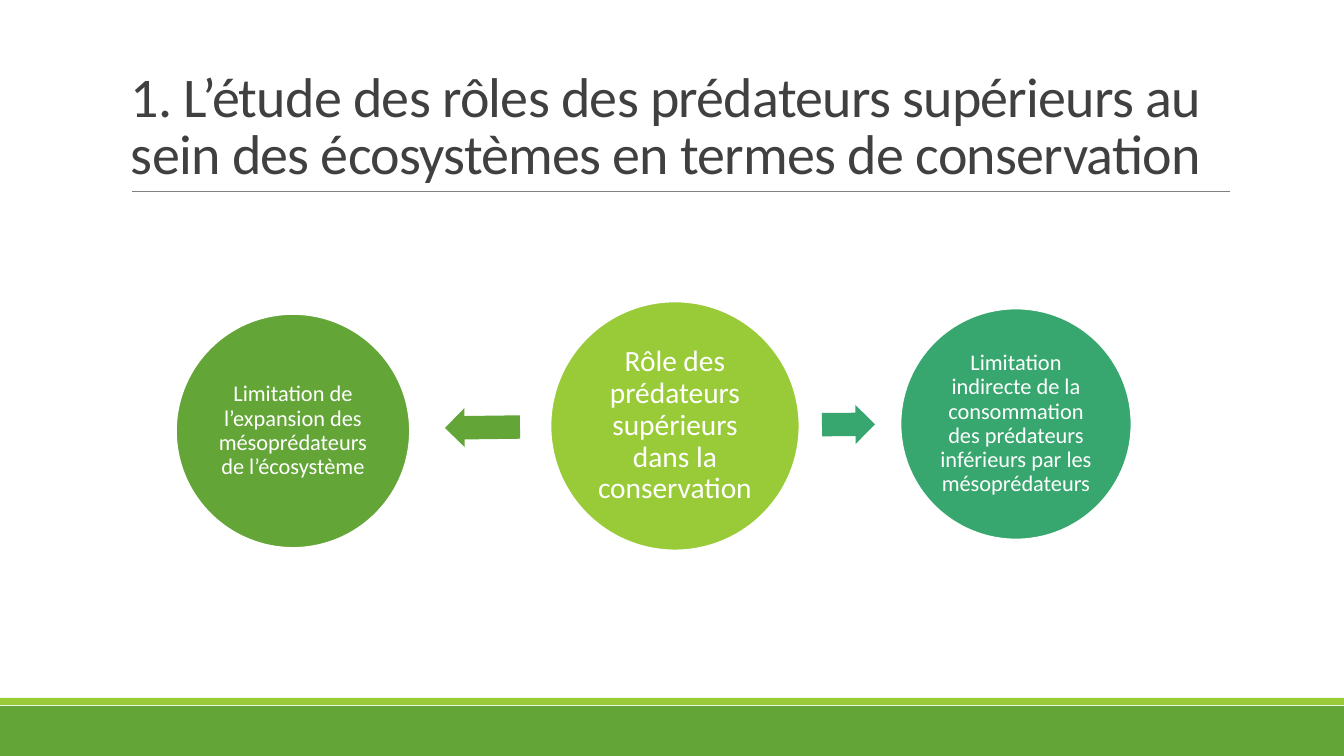
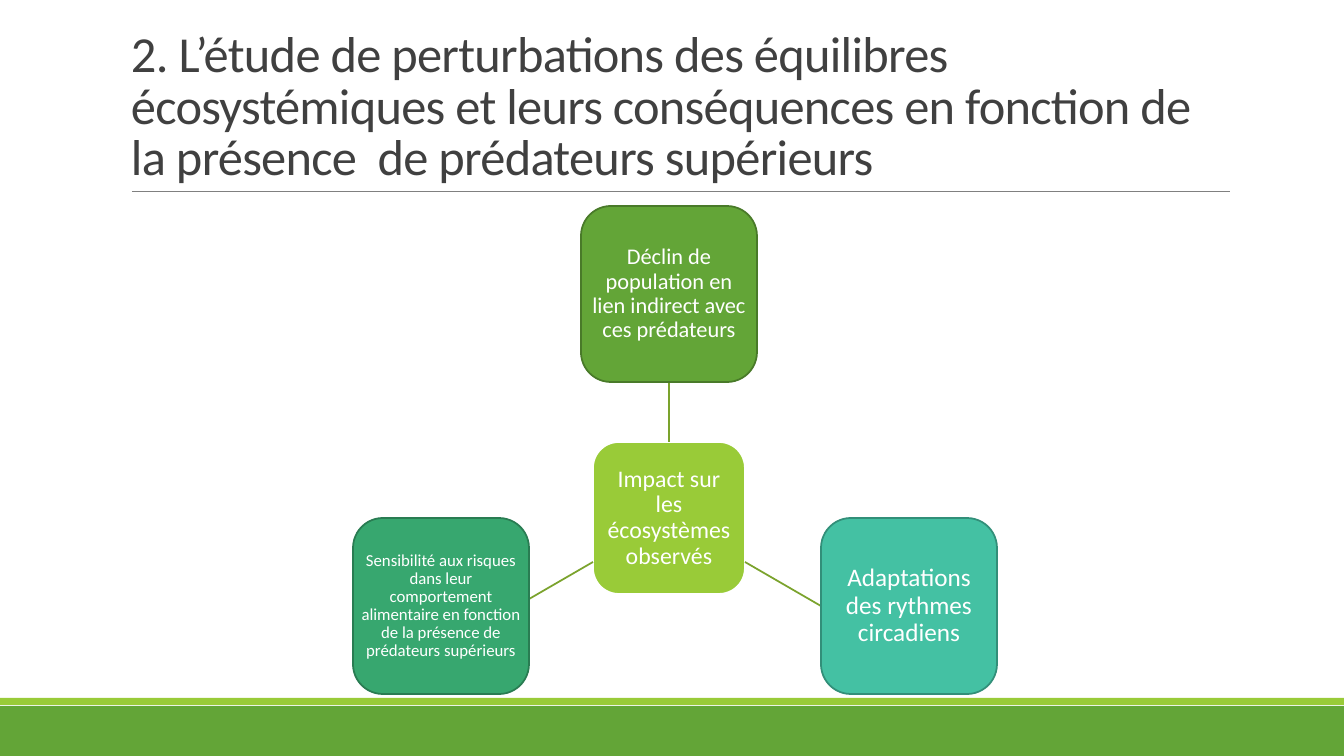
import pptx
import pptx.util
import pptx.dml.color
import pptx.enum.shapes
import pptx.enum.text
import pptx.oxml

RGB = pptx.dml.color.RGBColor
SHAPE = pptx.enum.shapes.MSO_SHAPE
ALIGN = pptx.enum.text.PP_ALIGN
ANCHOR = pptx.enum.text.MSO_ANCHOR

# Theme
PX = 914400 / 100.8
W, H = 1344, 756
FONT = "Calibri"
WHITE = RGB(0xFF, 0xFF, 0xFF)
INK = RGB(0x40, 0x40, 0x40)
RULE = RGB(0x80, 0x80, 0x80)
GREEN = RGB(0x63, 0xA5, 0x37)
LIME = RGB(0x99, 0xCB, 0x38)
JADE = RGB(0x37, 0xA7, 0x6F)
TEAL = RGB(0x44, 0xC1, 0xA3)
GREEN_EDGE = RGB(0x49, 0x7A, 0x29)
JADE_EDGE = RGB(0x29, 0x7C, 0x52)
TEAL_EDGE = RGB(0x32, 0x8F, 0x79)
LINK = RGB(0x7B, 0xA3, 0x2D)
EDGE_PT = 1.25
CORNER = 0.17

# Content: titles as (text, size)
ROLES_TITLE = ("1. L’étude des rôles des prédateurs supérieurs au sein des "
               "écosystèmes en termes de conservation", 40)
IMPACT_TITLE = ("2. L’étude de perturbations des équilibres écosystémiques et leurs "
                "conséquences en fonction de la présence  de prédateurs supérieurs", 36)

# Circles: text, size, centre, diameter, fill, inset
CIRCLES = [
    ("Rôle des prédateurs supérieurs dans la conservation", 21, (675, 426), 249, LIME, 3),
    ("Limitation de l’expansion des mésoprédateurs de l’écosystème",
     16, (293, 431), 234, GREEN, 2),
    ("Limitation indirecte de la consommation des prédateurs inférieurs "
     "par les mésoprédateurs", 16, (1016, 424), 231, JADE, 2),
]
# Arrows: box, rotation, fill
ARROWS = [
    ((445, 408, 75, 39), 179.3, GREEN),
    ((822, 405, 53, 39), 359.7, JADE),
]

# Hub and its satellites: text, size, centre, side, fill, edge, inset
HUB_X = 669
REACH = 234
HUB = ("Impact sur les écosystèmes observés", 17, (HUB_X, 518), 152, LIME, WHITE, 12)
SATELLITES = [
    ("Déclin de population en lien indirect avec ces prédateurs",
     16, (HUB_X, 294), 176, GREEN, GREEN_EDGE, 8),
    ("Adaptations des rythmes circadiens",
     18, (HUB_X + REACH + 6, 606), 176, TEAL, TEAL_EDGE, 8),
    ("Sensibilité aux risques dans leur comportement alimentaire en fonction "
     "de la présence de prédateurs supérieurs",
     12, (HUB_X - REACH + 6, 606), 176, JADE, JADE_EDGE, 7),
]
LINKS = [
    (HUB_X, 442, HUB_X, 335),
    (HUB_X + 76, 562, HUB_X + 152, 606),
    (HUB_X - 76, 562, HUB_X - 152, 606),
]


def px(*lengths):
    return [pptx.util.Emu(round(n * PX)) for n in lengths]


def write(sp, text, size, color=WHITE, align=ALIGN.CENTER, anchor=ANCHOR.MIDDLE,
          insets=(0, 0), leading=0.9, spacing=None):
    tf = sp.text_frame
    tf.word_wrap = True
    tf.vertical_anchor = anchor
    tf.margin_left = tf.margin_right = px(insets[0])[0]
    tf.margin_top = tf.margin_bottom = px(insets[1])[0]
    p = tf.paragraphs[0]
    p.alignment = align
    p.line_spacing = leading
    r = p.add_run()
    r.text = text
    r.font.name = FONT
    r.font.size = pptx.util.Pt(size)
    r.font.color.rgb = color
    if spacing is not None:
        r.font._element.set("spc", str(round(spacing * 100)))


def add_block(s, kind, box, fill, edge=None):
    sp = s.shapes.add_shape(kind, *px(*box))
    sp.shadow.inherit = False
    sp.fill.solid()
    sp.fill.fore_color.rgb = fill
    if edge is None:
        sp.line.fill.background()
    else:
        sp.line.color.rgb = edge
        sp.line.width = pptx.util.Pt(EDGE_PT)
    return sp


def add_line(s, ends, color, width):
    line = s.shapes.add_connector(pptx.enum.shapes.MSO_CONNECTOR.STRAIGHT, *px(*ends))
    line.line.color.rgb = color
    line.line.width = pptx.util.Pt(width)
    line._element.spPr.append(pptx.oxml.parse_xml(
        '<a:effectLst xmlns:a="http://schemas.openxmlformats.org/drawingml/2006/main"/>'))


def centred(centre, side):
    return centre[0] - side / 2, centre[1] - side / 2, side, side


def add_circle(s, text, size, centre, side, fill, inset):
    sp = add_block(s, SHAPE.OVAL, centred(centre, side), fill, WHITE)
    write(sp, text, size, insets=(inset, inset))


def add_tile(s, text, size, centre, side, fill, edge, inset):
    sp = add_block(s, SHAPE.ROUNDED_RECTANGLE, centred(centre, side), fill, edge)
    sp.adjustments[0] = CORNER
    # The preset already insets its text by 0.29 of the corner radius
    inner = inset - 0.29 * CORNER * side
    write(sp, text, size, insets=(inner, inner))


def add_slide(prs, title, size):
    s = prs.slides.add_slide(prs.slide_layouts[6])
    add_block(s, SHAPE.RECTANGLE, (0, 706, W, H - 706), GREEN)
    add_block(s, SHAPE.RECTANGLE, (0, 698, W, 7), LIME)
    add_line(s, (132, 191, 1230, 191), RULE, 0.5)
    sp = s.shapes.add_textbox(*px(121, 31, 1109, 160))
    write(sp, title, size, color=INK, align=ALIGN.LEFT, anchor=ANCHOR.BOTTOM,
          insets=(10, 5), leading=0.85, spacing=-0.5)
    return s


def main():
    prs = pptx.Presentation()
    prs.slide_width, prs.slide_height = px(W, H)

    # Roles of the predators
    s = add_slide(prs, *ROLES_TITLE)
    for circle in CIRCLES:
        add_circle(s, *circle)
    for box, rotation, fill in ARROWS:
        arrow = add_block(s, SHAPE.RIGHT_ARROW, box, fill)
        arrow.adjustments[0] = 0.6
        arrow.adjustments[1] = 0.5
        arrow.rotation = rotation

    # Impact on the ecosystems: links lie behind the satellites
    s = add_slide(prs, *IMPACT_TITLE)
    add_tile(s, *HUB)
    for ends in LINKS:
        add_line(s, ends, LINK, EDGE_PT)
    for satellite in SATELLITES:
        add_tile(s, *satellite)

    prs.save("out.pptx")


if __name__ == "__main__":
    main()
